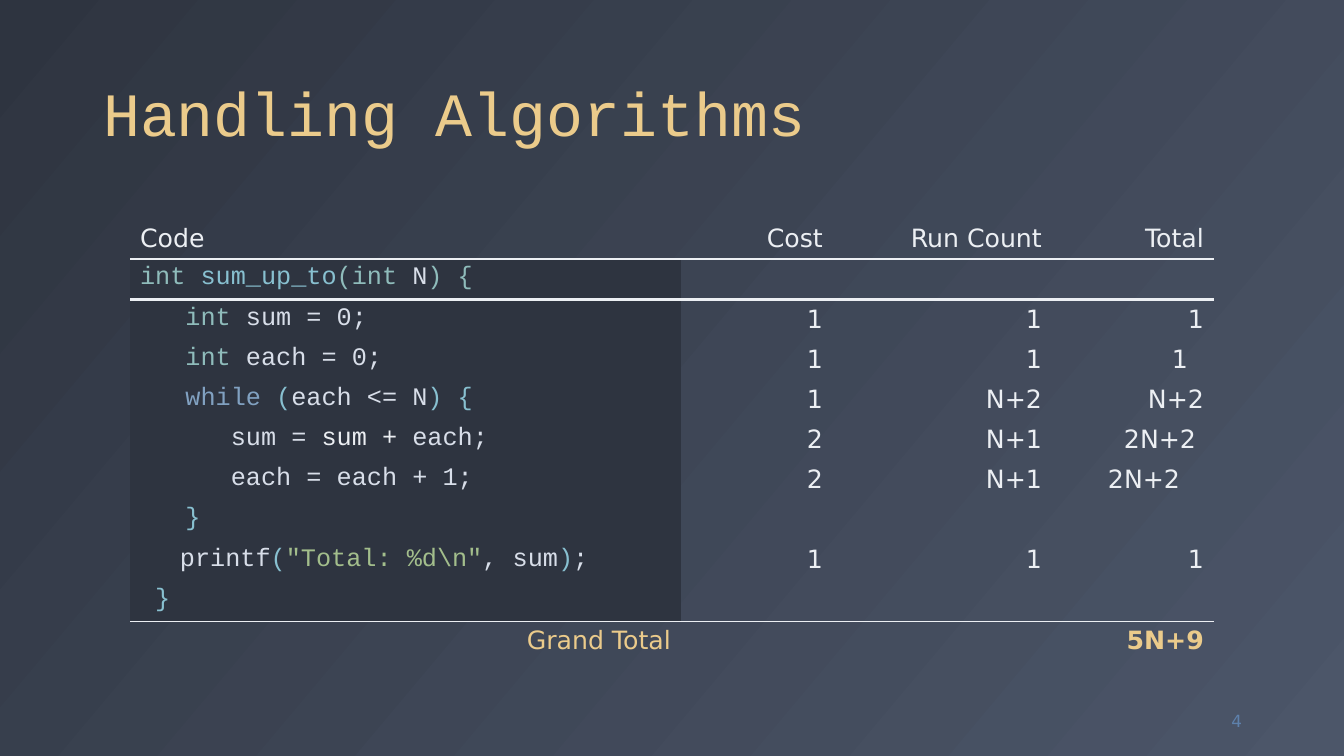
import lxml.etree
import pptx
import pptx.dml.color
import pptx.enum.text
import pptx.oxml.ns
import pptx.util

PX = 12192000 / 1344  # EMU per px
MONO, SANS = "Courier New", "DejaVu Sans"
DARK, SLATE, WHITE, GOLD, BLUE = "2E3440", "4C5669", "ECEFF3", "EBCB8B", "5E81AC"
TEAL, CYAN, TEXT, KEYWORD, STRING = "8FBCBB", "88C0D0", "D8DEE9", "81A1C1", "A3BE8C"

TITLE = "Handling Algorithms"
HEADERS = ["Code", "Cost", "Run Count", "Total"]
# code runs, then cost, run count and total
LINES = [
    ([("int ", TEAL), ("sum_up_to", CYAN), ("(int ", TEAL), ("N", TEXT), (") {", TEAL)], "", "", ""),
    ([("   int ", TEAL), ("sum = 0;", TEXT)], "1", "1", "1"),
    ([("   int ", TEAL), ("each = 0;", TEXT)], "1", "1", "1"),
    ([("   while ", KEYWORD), ("(", CYAN), ("each <= N", TEXT), (") {", CYAN)], "1", "N+2", "N+2"),
    ([("      sum = ", TEXT), ("sum + ", WHITE), ("each;", TEXT)], "2", "N+1", "2N+2"),
    ([("      each = each + 1;", TEXT)], "2", "N+1", "2N+2"),
    ([("   }", CYAN)], "", "", ""),
    ([("printf", TEXT), ("(", CYAN), ('"Total: %d\\n"', STRING), (", sum", TEXT), (")", CYAN),
      (";", TEXT)], "1", "1", "1"),
    ([(" }", CYAN)], "", "", ""),
]
GRAND_TOTAL = ("Grand Total", "5N+9")
PRINTF_ROW, PRINTF_INDENT = 8, 40
TOTAL_INSETS = {3: 16, 5: 8, 6: 24}  # extra right margin of a total, by row
CELL_MARGIN = 10
COLUMNS = [551, 152, 219, 162]
ROW_HEIGHT = 40
TABLE_LEFT, TABLE_TOP = 130, 219
NO_STYLE = "{2D5ABB26-0587-4C30-8999-92F81FD0307C}"

ALIGN = pptx.enum.text.PP_ALIGN
ANCHOR = pptx.enum.text.MSO_ANCHOR


def emu(px):
    return pptx.util.Emu(round(px * PX))


def rgb(color):
    return pptx.dml.color.RGBColor.from_string(color)


def add_run(p, text, color, font=SANS, size=18, bold=False):
    r = p.add_run()
    r.text = text
    r.font.name, r.font.size, r.font.bold = font, pptx.util.Pt(size), bold
    r.font.color.rgb = rgb(color)


def add_border(cell, side, width):
    """Draw one white edge of a cell; side is T or B, width is in points."""
    ln = lxml.etree.Element(pptx.oxml.ns.qn("a:ln" + side), w=str(pptx.util.Pt(width)))
    fill = lxml.etree.SubElement(ln, pptx.oxml.ns.qn("a:solidFill"))
    lxml.etree.SubElement(fill, pptx.oxml.ns.qn("a:srgbClr"), val=WHITE)
    cell._tc.get_or_add_tcPr().insert(0, ln)


def fill_cell(cell, runs, font=SANS, align=ALIGN.RIGHT, bold=False):
    p = cell.text_frame.paragraphs[0]
    p.alignment = align
    for text, color in runs:
        if text:
            add_run(p, text, color, font, bold=bold)


def add_cost_table(slide):
    rows = len(LINES) + 2
    last = rows - 1
    frame = slide.shapes.add_table(rows, len(COLUMNS), emu(TABLE_LEFT), emu(TABLE_TOP),
                                   emu(sum(COLUMNS)), emu(rows * ROW_HEIGHT))
    table = frame.table
    table.first_row = table.horz_banding = False
    next(frame._element.iter(pptx.oxml.ns.qn("a:tableStyleId"))).text = NO_STYLE
    for column, width in zip(table.columns, COLUMNS):
        column.width = emu(width)
    for row in table.rows:
        row.height = emu(ROW_HEIGHT)

    borders = {0: ("B", 2.25), 1: ("T", 2.25), last - 1: ("B", 1), last: ("T", 1)}
    for i in range(rows):
        for j in range(len(COLUMNS)):
            cell = table.cell(i, j)
            if j == 0 and 0 < i < last:
                cell.fill.solid()
                cell.fill.fore_color.rgb = rgb(DARK)
            else:
                cell.fill.background()
            if i in borders:
                add_border(cell, *borders[i])

    for j, header in enumerate(HEADERS):
        fill_cell(table.cell(0, j), [(header, WHITE)], align=ALIGN.RIGHT if j else ALIGN.LEFT)
    for i, (code, *counts) in enumerate(LINES, 1):
        fill_cell(table.cell(i, 0), code, MONO, ALIGN.LEFT)
        for j, count in enumerate(counts, 1):
            fill_cell(table.cell(i, j), [(count, WHITE)])
    label, total = GRAND_TOTAL
    fill_cell(table.cell(last, 0), [(label, GOLD)])
    fill_cell(table.cell(last, 3), [(total, GOLD)], bold=True)

    table.cell(PRINTF_ROW, 0).margin_left = emu(CELL_MARGIN + PRINTF_INDENT)
    for i, inset in TOTAL_INSETS.items():
        table.cell(i, 3).margin_right = emu(CELL_MARGIN + inset)


def main():
    prs = pptx.Presentation()
    prs.slide_width, prs.slide_height = emu(1344), emu(756)
    slide = prs.slides.add_slide(prs.slide_layouts[5])

    fill = slide.background.fill
    fill.gradient()
    fill.gradient_angle = 320
    for stop, color in zip(fill.gradient_stops, (DARK, SLATE)):
        stop.color.rgb = rgb(color)

    title = slide.shapes.title
    title.left, title.top, title.width, title.height = map(emu, (93, 18, 1159, 137))
    tf = title.text_frame
    tf.vertical_anchor = ANCHOR.BOTTOM
    p = tf.paragraphs[0]
    p.alignment, p.line_spacing = ALIGN.LEFT, 0.9
    add_run(p, TITLE, GOLD, MONO, 44)

    add_cost_table(slide)

    number = slide.shapes.add_textbox(*map(emu, (1168, 701, 84, 40)))
    tf = number.text_frame
    tf.word_wrap = True
    tf.vertical_anchor = ANCHOR.MIDDLE
    p = tf.paragraphs[0]
    p.alignment = ALIGN.RIGHT
    add_run(p, "4", BLUE, size=12)

    prs.save("out.pptx")


if __name__ == "__main__":
    main()
